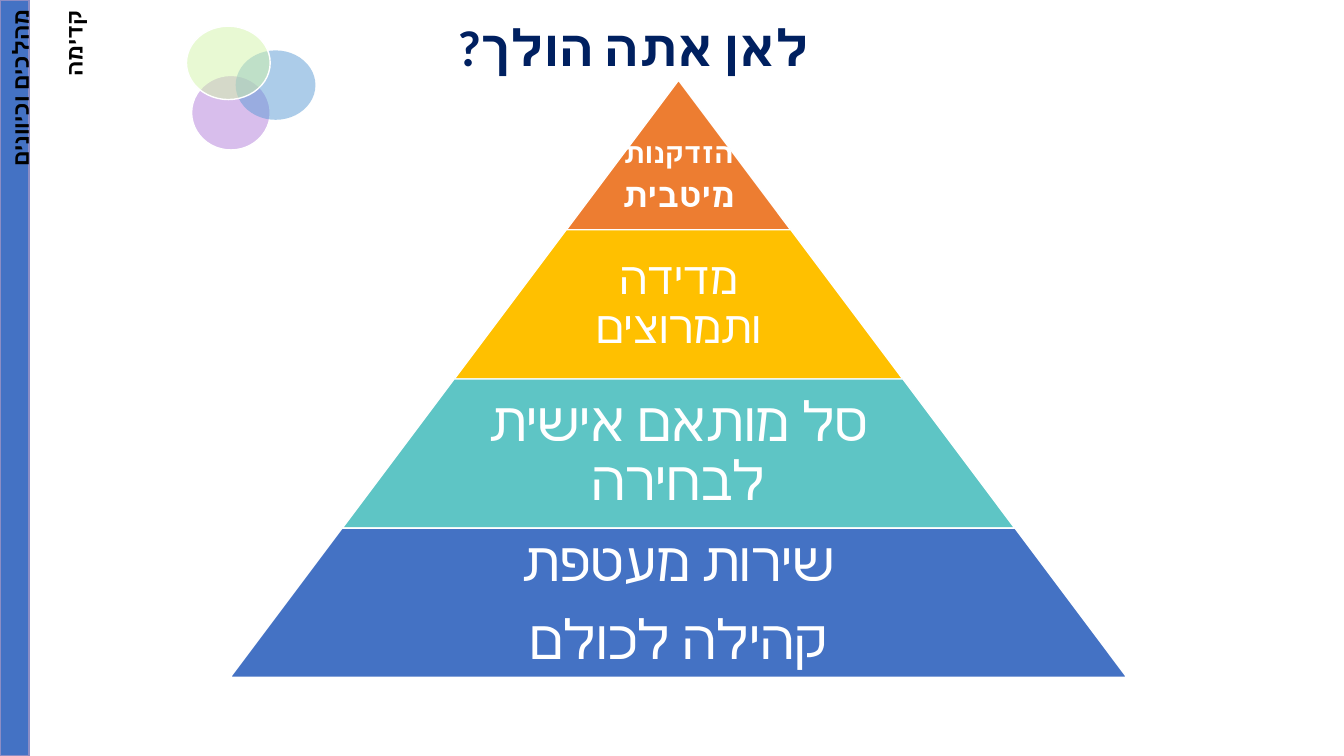
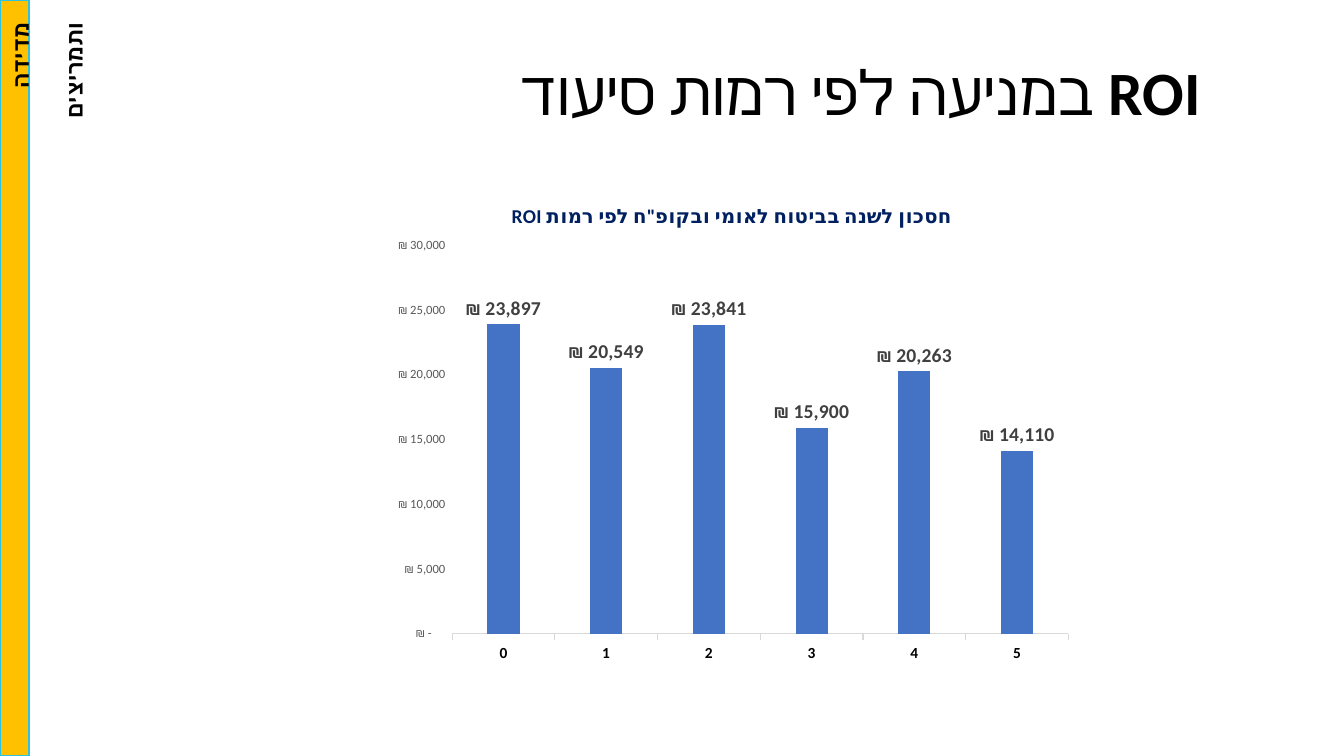
"""Build a two-slide Hebrew deck: a service pyramid and a prevention ROI chart."""
from dataclasses import dataclass

from lxml import etree
from pptx import Presentation
from pptx.chart.data import CategoryChartData
from pptx.dml.color import RGBColor
from pptx.enum.chart import XL_CHART_TYPE as Chart, XL_LABEL_POSITION as LabelPos, XL_TICK_MARK as Tick
from pptx.enum.shapes import MSO_SHAPE as Shape
from pptx.enum.text import MSO_ANCHOR as Anchor, MSO_AUTO_SIZE as AutoSize, PP_ALIGN as Align
from pptx.oxml import parse_xml
from pptx.oxml.ns import nsdecls, qn
from pptx.util import Cm, Pt


@dataclass(frozen=True)
class Theme:
    font: str = "Calibri"
    black: str = "000000"
    white: str = "FFFFFF"
    navy: str = "002060"
    blue: str = "4472C4"
    teal: str = "5EC5C5"
    gold: str = "FFC000"
    orange: str = "ED7D31"
    lilac: str = "D8BEEC"
    sky: str = "5B9BD5"
    lime: str = "D3F4A8"
    violet_edge: str = "8C8DC5"
    cyan_edge: str = "2CC2E0"
    axis_line: str = "D9D9D9"
    axis_text: str = "595959"
    label_text: str = "404040"
    heading: int = 36
    big_heading: int = 44
    side: int = 16
    chart: int = 10
    chart_title: int = 14
    data_label: int = 14
    cat_label: int = 11
    val_label: int = 9


T = Theme()
SLIDE_W, SLIDE_H = 33.87, 19.05

PYRAMID_TITLE = "לאן אתה הולך?"
PYRAMID_SIDE = "מהלכים וכיוונים קדימה"
CIRCLES = [
    ((4.83, 1.9, 1.98, 1.88), T.lilac, 100, T.white),
    ((5.94, 1.27, 2.01, 1.75), T.sky, 50, None),
    ((4.7, 0.66, 2.11, 1.85), T.lime, 50, T.white),
]
TIERS = [
    (T.orange, True, 1.2, 1, [("הזדקנות", 20), ("מיטבית", 24)]),
    (T.gold, False, 0.1, 0.65, [("מדידה ותמרוצים", 32)]),
    (T.teal, False, 0.1, 0.65, [("סל מותאם אישית לבחירה", 39)]),
    (T.blue, False, 0.1, 0.65, [("שירות מעטפת", 39), ("קהילה לכולם", 39)]),
]
TIER_MID, TIER_TOP, TIER_H, TIER_STEP = 17.1, 2.03, 3.76, 5.65

ROI_TITLE = [("ROI", True), (" במניעה לפי רמות סיעוד", False)]
ROI_SIDE = "מדידה ותמריצים"
CHART_TITLE = 'ROI חסכון לשנה בביטוח לאומי ובקופ"ח לפי רמות'
SAVINGS = {"0": 23897, "1": 20549, "2": 23841, "3": 15900, "4": 20263, "5": 14110}
SHEKEL = '_ "₪"\\ * #,##0_ ;_ "₪"\\ * \\-#,##0_ ;_ "₪"\\ * "-"??_ ;_ @_ '


def rgb(color):
    return RGBColor.from_string(color)


def style(font, size, color, bold=False):
    font.name, font.size, font.bold = T.font, Pt(size), bold
    font.color.rgb = rgb(color)


def style_run(r, size, color, bold):
    style(r.font, size, color, bold)
    etree.SubElement(r.font._element, qn("a:cs")).set("typeface", T.font)


def rtl(p, align, spacing=1.0):
    p._p.get_or_add_pPr().set("rtl", "1")
    p.alignment, p.line_spacing = align, spacing


def place(sp, left, top, width, height):
    sp.left, sp.top, sp.width, sp.height = Cm(left), Cm(top), Cm(width), Cm(height)


def add_shape(s, kind, box, fill, line=None, opacity=100):
    sp = s.shapes.add_shape(kind, *map(Cm, box))
    sp.shadow.inherit = False
    sp.fill.solid()
    sp.fill.fore_color.rgb = rgb(fill)
    if opacity < 100:
        color = sp.fill._xPr.find(qn("a:solidFill"))[0]
        etree.SubElement(color, qn("a:alpha")).set("val", str(opacity * 1000))
    if line:
        sp.line.color.rgb = rgb(line)
        sp.line.width = Pt(1)
    else:
        sp.line.fill.background()
    return sp


def add_title(s, box, parts, size, color, anchor, spacing):
    sp = s.shapes.title
    place(sp, *box)
    tf = sp.text_frame
    tf.auto_size, tf.word_wrap, tf.vertical_anchor = AutoSize.NONE, True, anchor
    p = tf.paragraphs[0]
    rtl(p, Align.RIGHT, spacing)
    for text, bold in parts:
        r = p.add_run()
        r.text = text
        style_run(r, size, color, bold)


def add_band(s, fill, line):
    add_shape(s, Shape.RECTANGLE, (0, 0, 0.73, SLIDE_H), fill, line)


def add_side_label(s, text, top, length):
    mid_x, depth = 0.89, 3.05
    sp = s.shapes.add_textbox(Cm(mid_x - length / 2), Cm(top + (length - depth) / 2), Cm(length), Cm(depth))
    sp.rotation = 270
    tf = sp.text_frame
    tf.word_wrap = True
    tf.text = text
    p = tf.paragraphs[0]
    rtl(p, Align.RIGHT, 2.0)
    style_run(p.runs[0], T.side, T.black, True)


def add_tier(s, row, fill, bold, inset_top, text_share, lines):
    width, top = TIER_STEP * (row + 1), TIER_TOP + TIER_H * row
    sp = add_shape(s, Shape.TRAPEZOID, (TIER_MID - width / 2, top, width, TIER_H), fill, T.white)
    sp.adjustments[0] = 0.75
    text_w = width * text_share
    box = s.shapes.add_textbox(Cm(TIER_MID - text_w / 2), Cm(top), Cm(text_w), Cm(TIER_H))
    tf = box.text_frame
    tf.word_wrap, tf.vertical_anchor = True, Anchor.MIDDLE
    tf.margin_left = tf.margin_right = tf.margin_bottom = Cm(0.1)
    tf.margin_top = Cm(inset_top)
    tf.text = "\n".join(text for text, _ in lines)
    for p, (_, size) in zip(tf.paragraphs, lines):
        rtl(p, Align.CENTER, 0.9)
        p.space_after = Pt(round(size * 0.35, 1))
        style_run(p.runs[0], size, T.white, bold)


def set_layout(parent, **parts):
    for old in parent.findall(qn("c:layout")):
        parent.remove(old)
    tags = "".join(f'<c:{name} val="{value}"/>' for name, value in parts.items())
    layout = parse_xml(f'<c:layout {nsdecls("c")}><c:manualLayout>{tags}</c:manualLayout></c:layout>')
    if parent.tag == qn("c:plotArea"):
        parent.insert(0, layout)
    else:
        parent.find(qn("c:tx")).addnext(layout)


def add_savings_chart(s):
    data = CategoryChartData()
    data.categories = list(SAVINGS)
    data.add_series("Series 1", list(SAVINGS.values()))
    box = map(Cm, (9.63, 4.5, 17.65, 12.47))
    chart = s.shapes.add_chart(Chart.COLUMN_CLUSTERED, *box, data).chart
    style(chart.font, T.chart, T.black)
    chart.has_legend = False

    chart.has_title = True
    tf = chart.chart_title.text_frame
    tf.text = CHART_TITLE
    style_run(tf.paragraphs[0].runs[0], T.chart_title, T.navy, True)
    chart.chart_title.include_in_layout = False
    set_layout(chart.chart_title._element, xMode="edge", yMode="edge", x=0.18, y=0.04)
    set_layout(chart._chartSpace.chart.plotArea, layoutTarget="inner", xMode="edge", yMode="edge",
               x=0.1, y=0.135, w=0.88, h=0.785)

    cat, val = chart.category_axis, chart.value_axis
    style(cat.tick_labels.font, T.cat_label, T.black, True)
    cat.major_tick_mark = Tick.OUTSIDE
    cat.format.line.color.rgb = rgb(T.axis_line)
    cat.format.line.width = Pt(0.75)
    style(val.tick_labels.font, T.val_label, T.axis_text)
    val.minimum_scale, val.maximum_scale, val.major_unit = 0, 30000, 5000
    val.has_major_gridlines = False
    val.major_tick_mark = Tick.NONE
    val.format.line.fill.background()

    plot = chart.plots[0]
    plot.gap_width, plot.overlap, plot.vary_by_categories = 219, -27, False
    ser = plot.series[0]
    ser.format.fill.solid()
    ser.format.fill.fore_color.rgb = rgb(T.blue)
    labels = ser.data_labels
    labels.show_value, labels.position = True, LabelPos.OUTSIDE_END
    style(labels.font, T.data_label, T.label_text, True)
    for item in (val.tick_labels, labels):
        item.number_format, item.number_format_is_linked = SHEKEL, False


def build_pyramid(s):
    add_band(s, T.blue, T.violet_edge)
    add_title(s, (0.43, 0.28, 20.22, 1.8), [(PYRAMID_TITLE, True)], T.heading, T.navy, Anchor.TOP, 1.0)
    for box, fill, opacity, line in CIRCLES:
        add_shape(s, Shape.OVAL, box, fill, line, opacity)
    for row, tier in enumerate(TIERS):
        add_tier(s, row, *tier)
    add_side_label(s, PYRAMID_SIDE, 0, 5.33)


def build_roi(s):
    add_title(s, (1.3, 0.58, 29.21, 3.68), ROI_TITLE, T.big_heading, T.black, Anchor.MIDDLE, 0.9)
    add_savings_chart(s)
    add_band(s, T.gold, T.cyan_edge)
    add_side_label(s, ROI_SIDE, 0.32, 3.94)


def main():
    prs = Presentation()
    prs.slide_width, prs.slide_height = Cm(SLIDE_W), Cm(SLIDE_H)
    title_only = prs.slide_layouts[5]
    for build in (build_pyramid, build_roi):
        build(prs.slides.add_slide(title_only))
    prs.save("out.pptx")


if __name__ == "__main__":
    main()
